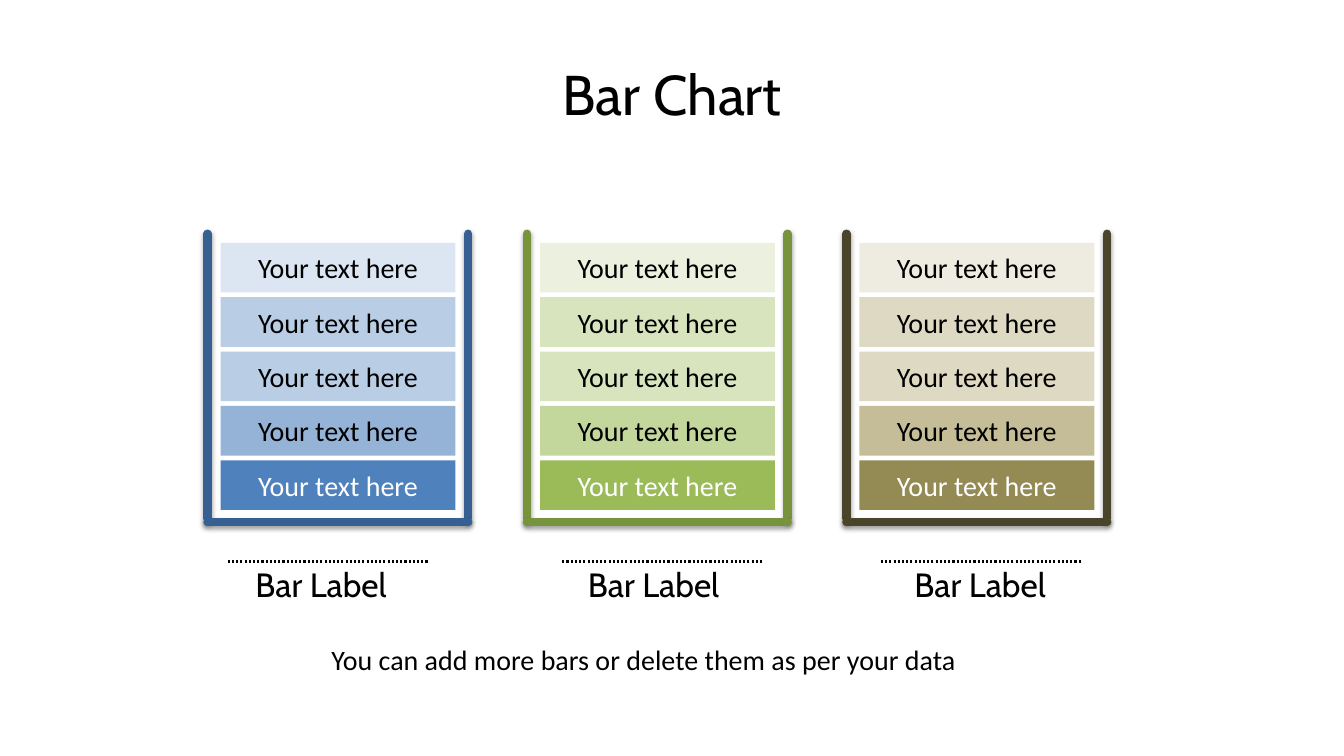
from lxml import etree
from pptx import Presentation
from pptx import util as u
from pptx.dml import color
from pptx.enum import dml, shapes, text
from pptx.oxml import ns

Cm, Pt = u.Cm, u.Pt
HUES = {
    "black": "000000",
    "white": "FFFFFF",
    "blue": ["376092", "DCE6F2", "B9CDE5", "B9CDE5", "95B3D7", "4F81BD"],
    "green": ["77933C", "EBF1DE", "D7E4BD", "D7E4BD", "C3D69B", "9BBB59"],
    "tan": ["4A452A", "EEECE1", "DDD9C3", "DDD9C3", "C4BD97", "948A54"],
}
BARS = [("blue", 5.74, 4.52), ("green", 14.17, 12.9), ("tan", 22.2, 21.13)]
LEFT, PITCH, WIDE = 5.23, 8.05, 6.57
TOP, FOOT, BASE = 5.89, 13.06, 13.16
STEP = 1.37
CAPTION = {
    "vertical_anchor": text.MSO_ANCHOR.TOP,
    "margin_top": Cm(0.25),
}


def rgb(hue):
    return color.RGBColor.from_string(hue)


def apply(item, form):
    for name, value in form.items():
        setattr(item, name, value)


def write(shape, words, size, face, hue="black", form=None):
    frame = shape.text_frame
    base = {"word_wrap": True, "vertical_anchor": text.MSO_ANCHOR.MIDDLE}
    apply(frame, base | (form or {}))
    para = frame.paragraphs[0]
    para.text = words
    para.alignment = text.PP_ALIGN.CENTER
    apply(para.font, {"size": Pt(size), "name": face})
    para.font.color.rgb = rgb(HUES[hue])


def line(parent, ends, hue, form):
    item = parent.add_connector(
        shapes.MSO_CONNECTOR.STRAIGHT, *[Cm(end) for end in ends])
    item.line.color.rgb = rgb(hue)
    apply(item.line, form)
    effect = etree.SubElement(item._element.spPr, ns.qn("a:effectLst"))
    return item, effect


def wall(parent, ends, hue):
    item, effect = line(parent, ends, hue, {"width": Pt(6)})
    item.line._get_or_add_ln().set("cap", "rnd")
    shade = etree.SubElement(
        effect, ns.qn("a:outerShdw"), blurRad="40000", dist="23000",
        dir="5400000", rotWithShape="0")
    tint = etree.SubElement(shade, ns.qn("a:srgbClr"), val=HUES["black"])
    etree.SubElement(tint, ns.qn("a:alpha"), val="35000")


def box(slide, kind, place, fill=None):
    shape = slide.shapes.add_shape(kind, *[Cm(side) for side in place])
    shape.shadow.inherit = False
    shape.line.fill.background()
    if fill:
        shape.fill.solid()
        shape.fill.fore_color.rgb = rgb(fill)
    else:
        shape.fill.background()
    return shape


def caption(slide, place, words, size, face):
    shape = box(slide, shapes.MSO_SHAPE.ROUNDED_RECTANGLE, place)
    shape.adjustments[0] = 0.12
    write(shape, words, size, face, form=CAPTION)


def bar(slide, left, tones):
    edge, *fills = tones
    right = left + WIDE
    parts = slide.shapes.add_group_shape().shapes
    for ends in [(left, TOP, left, FOOT), (right, TOP, right, FOOT),
                 (left, BASE, right, BASE)]:
        wall(parts, ends, edge)
    for row, fill in enumerate(fills):
        place = (left + 0.33, 6.12 + row * STEP, 5.92, 1.25)
        band = box(slide, shapes.MSO_SHAPE.RECTANGLE, place, fill)
        hue = "white" if fill == fills[-1] else "black"
        write(band, "Your text here", 20, "Calibri", hue)


def main():
    deck = Presentation()
    apply(deck, {"slide_width": Cm(33.87), "slide_height": Cm(19.05)})
    slide = deck.slides.add_slide(deck.slide_layouts[6])
    title = slide.shapes.add_textbox(Cm(1.7), Cm(0.76), Cm(30.48), Cm(3.18))
    write(title, "Bar Chart", 40, "Cabin")
    dots = {"width": Pt(1.5), "dash_style": dml.MSO_LINE.ROUND_DOT}
    for col, (name, rule, label) in enumerate(BARS):
        bar(slide, LEFT + col * PITCH, HUES[name])
        line(slide.shapes, (rule, 14.15, rule + 5.08, 14.15),
             HUES["black"], dots)
        caption(slide, (label, 13.92, 7.14, 1.47), "Bar Label", 24, "Cabin")
    caption(slide, (5.64, 15.88, 21.16, 1.9),
            "You can add more bars or delete them as per your data",
            20, "Calibri")
    deck.save("out.pptx")


if __name__ == "__main__":
    main()
